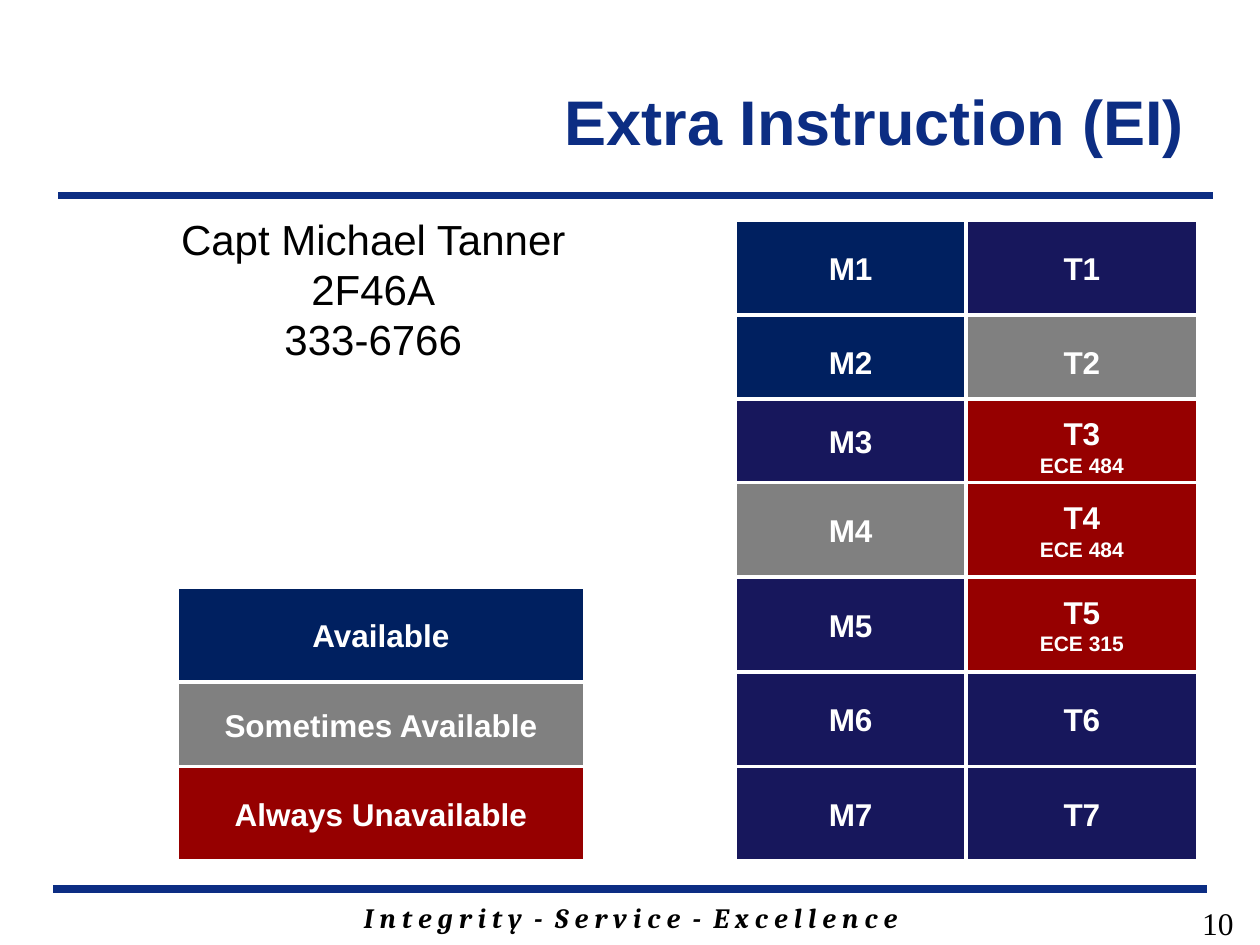
from pptx import Presentation, util as u
from pptx.dml.color import RGBColor
from pptx.enum import shapes, text
from pptx.oxml.ns import qn
from lxml import etree

BLUE, BLACK, WHITE = "0C2D83", "000000", "FFFFFF"
OPEN, PLAIN, SOMETIMES, NEVER = "002060", "17175C", "808080", "960000"
CENTER, RIGHT = text.PP_ALIGN.CENTER, text.PP_ALIGN.RIGHT


def color(hex_string):
    return RGBColor.from_string(hex_string)


class SlideBuilder:
    """Holds the text style and the current slide; lengths are in centimetres."""
    font_name = "Arial"

    def __init__(self, page):
        self.page = page

    def set_text(self, frame, lines, sizes, ink, align, bold=False, italic=False, font=None):
        frame.word_wrap = True
        for index, (line, size) in enumerate(zip(lines, sizes)):
            para = frame.paragraphs[0] if index == 0 else frame.add_paragraph()
            para.text = line
            para.alignment = align
            para.font.name = font or self.font_name
            para.font.size = u.Pt(size)
            para.font.bold, para.font.italic = bold, italic
            para.font.color.rgb = color(ink)

    def title(self, line, left, top, width, height):
        box = self.page.shapes.title
        box.left, box.top, box.width, box.height = map(u.Cm, (left, top, width, height))
        box.text_frame.vertical_anchor = text.MSO_ANCHOR.MIDDLE
        self.set_text(box.text_frame, [line], [36], BLUE, RIGHT, bold=True)

    def rule(self, left, right, y):
        line = self.page.shapes.add_connector(
            shapes.MSO_CONNECTOR.STRAIGHT, u.Cm(left), u.Cm(y), u.Cm(right), u.Cm(y))
        line.line.color.rgb = color(BLUE)
        line.line.width = u.Pt(4.5)
        etree.SubElement(line._element.spPr, qn("a:effectLst"))

    def label(self, lines, size, left, top, width, height, align=CENTER, **style):
        box = self.page.shapes.add_textbox(*map(u.Cm, (left, top, width, height)))
        self.set_text(box.text_frame, lines, [size] * len(lines), BLACK, align, **style)

    def block(self, lines, fill, left, top, width, height):
        box = self.page.shapes.add_shape(
            shapes.MSO_SHAPE.RECTANGLE, *map(u.Cm, (left, top, width, height)))
        box.shadow.inherit = False
        box.fill.solid()
        box.fill.fore_color.rgb = color(fill)
        box.line.color.rgb = color(WHITE)
        box.line.width = u.Pt(2)
        box.text_frame.vertical_anchor = text.MSO_ANCHOR.MIDDLE
        self.set_text(box.text_frame, lines, [18, 12], WHITE, CENTER, bold=True)


def main():
    deck = Presentation()
    deck.slide_width, deck.slide_height = u.Cm(25.4), u.Cm(19.05)
    slide = SlideBuilder(deck.slides.add_slide(deck.slide_layouts[5]))

    # Frame: rules, motto, title and page number
    slide.rule(1.07, 24.33, 17.93)
    slide.rule(1.17, 24.46, 3.94)
    slide.label(["I n t e g r i t y  -  S e r v i c e  -  E x c e l l e n c e"], 16,
                3.61, 18.03, 18.21, 0.94, bold=True, italic=True, font="Cambria")
    slide.title("Extra Instruction (EI)", 1.27, 0.84, 22.86, 3.18)
    slide.label(["10"], 18, 19.2, 18.1, 5.92, 0.95, RIGHT, font="Times New Roman")

    # Instructor contact
    slide.label(["Capt Michael Tanner", "2F46A", "333-6766"], 24, 0.64, 4.17, 13.77, 3.33)

    # Schedule: one column per day, later periods overlap earlier ones
    tall, short = 1.9, 1.69
    period_tops = [4.45, 6.35, 8.04, 9.73, 11.64, 13.55, 15.45]
    column_left, column_width = 14.82, 4.66
    days = {
        "M": [OPEN, OPEN, PLAIN, SOMETIMES, PLAIN, PLAIN, PLAIN],
        "T": [PLAIN, SOMETIMES, NEVER, NEVER, NEVER, PLAIN, PLAIN],
    }
    courses = {"T3": "ECE 484", "T4": "ECE 484", "T5": "ECE 315"}
    for column, (day, fills) in enumerate(days.items()):
        for period, (top, fill) in enumerate(zip(period_tops, fills), start=1):
            name = f"{day}{period}"
            lines = [name, courses[name]] if name in courses else [name]
            slide.block(lines, fill, column_left + column * column_width, top,
                        column_width, short if name == "M3" else tall)

    # Legend
    for name, fill, top, height in [
        ("Available", OPEN, 11.84, tall),
        ("Sometimes Available", SOMETIMES, 13.76, short),
        ("Always Unavailable", NEVER, 15.45, tall),
    ]:
        slide.block([name], fill, 3.58, top, 8.2, height)

    deck.save("out.pptx")


if __name__ == "__main__":
    main()
